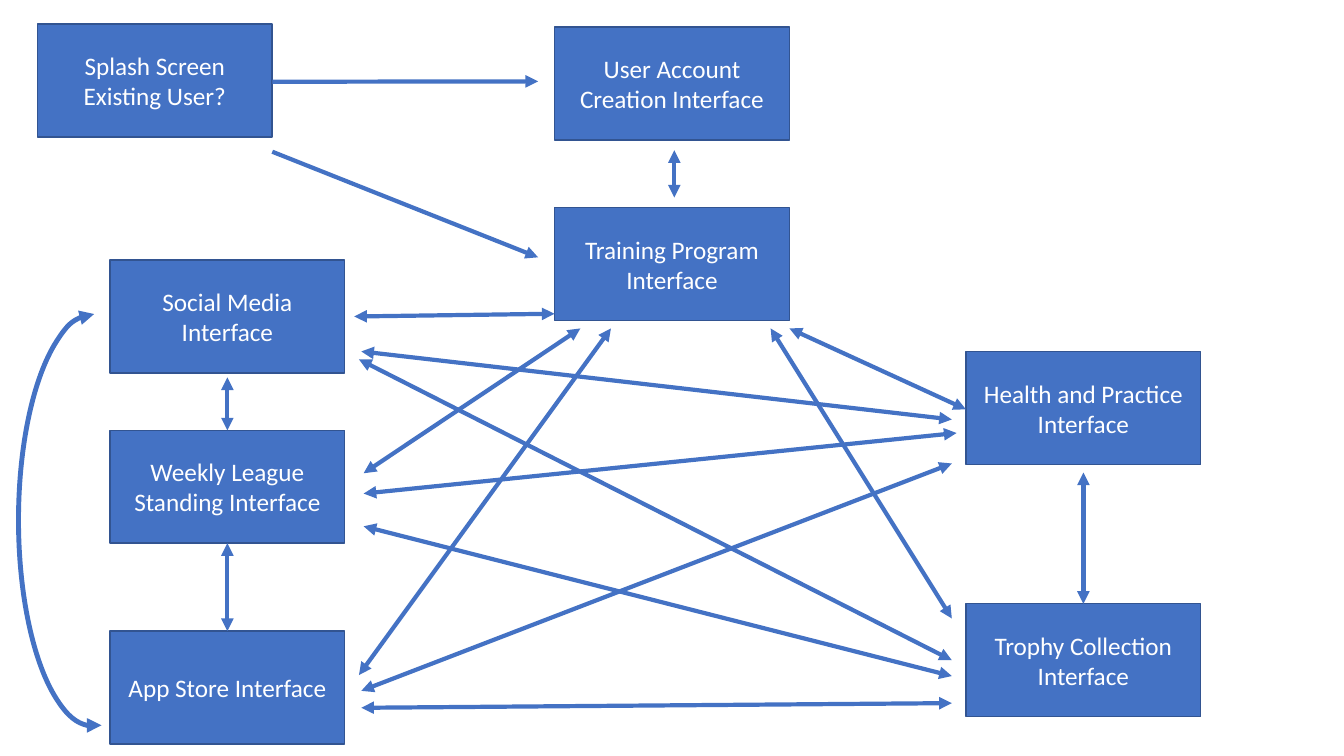
from dataclasses import dataclass

from pptx import Presentation
from pptx.dml.color import RGBColor
from pptx.enum.shapes import MSO_CONNECTOR as Link, MSO_SHAPE as Preset
from pptx.enum.text import MSO_ANCHOR as Anchor, PP_ALIGN as Align
from pptx.oxml.ns import qn
from pptx.util import Inches, Pt
from lxml.etree import SubElement

COLORS = {"fill": "4472C4", "border": "325491", "text": "FFFFFF"}
FONT = "Calibri"

# Grid of 100 columns by 100 rows
WIDTH, HEIGHT = Inches(13.33), Inches(7.5)
COLUMN, ROW = WIDTH / 100, HEIGHT / 100
BOX_COLUMNS, BOX_ROWS = 17.48, 14.93
ENTRY, LEFT, MIDDLE, RIGHT = 2.78, 8.18, 41.26, 71.87


@dataclass(frozen=True)
class Screen:
    column: float
    row: float
    text: str


@dataclass(frozen=True)
class End:
    """A point given as shares of a screen's width and height."""
    screen: Screen
    across: float
    down: float

    def point(self) -> tuple[int, int]:
        return (round((self.screen.column + self.across * BOX_COLUMNS) * COLUMN),
                round((self.screen.row + self.down * BOX_ROWS) * ROW))


@dataclass(frozen=True)
class Flow:
    start: End
    finish: End
    two_way: bool = True


# Screens of the app
splash = Screen(ENTRY, 3.2, "Splash Screen\nExisting User?")
account = Screen(MIDDLE, 3.6, "User Account Creation Interface")
training = Screen(MIDDLE, 27.47, "Training Program Interface")
social = Screen(LEFT, 34.4, "Social Media Interface")
league = Screen(LEFT, 56.93, "Weekly League Standing Interface")
store = Screen(LEFT, 83.47, "App Store Interface")
health = Screen(RIGHT, 46.53, "Health and Practice Interface")
trophy = Screen(RIGHT, 79.87, "Trophy Collection Interface")
SCREENS = [splash, training, health, social, league, store, account, trophy]

# Navigation between screens
FLOWS = [
    Flow(End(splash, 1, 0.51), End(account, -0.07, 0.48), two_way=False),
    Flow(End(splash, 1, 1.13), End(training, -0.07, 0.44), two_way=False),
    Flow(End(training, 0, 0.94), End(social, 1.04, 0.5)),
    Flow(End(training, 0.11, 1.07), End(league, 1.08, 0.38)),
    Flow(End(training, 0.24, 1.07), End(store, 1.06, 0.39)),
    Flow(End(health, 0, 0.51), End(training, 1, 1.07)),
    Flow(End(trophy, -0.06, 0.13), End(training, 0.92, 1.07)),
    Flow(End(trophy, -0.06, 0.5), End(social, 1.06, 0.88)),
    Flow(End(trophy, 0.5, 0), End(health, 0.5, 1.07)),
    Flow(End(store, 0.5, 0), End(league, 0.5, 1)),
    Flow(End(league, 0.5, 0), End(social, 0.5, 1.04)),
    Flow(End(trophy, -0.06, 0.88), End(store, 1.07, 0.68)),
    Flow(End(health, -0.04, 0.72), End(league, 1.08, 0.56)),
    Flow(End(trophy, -0.06, 0.64), End(league, 1.08, 0.85)),
    Flow(End(health, -0.06, 0.99), End(store, 1.07, 0.53)),
    Flow(End(health, -0.06, 0.6), End(social, 1.07, 0.81)),
    Flow(End(training, 0.51, -0.09), End(account, 0.51, 1.09)),
]


def color(name: str) -> RGBColor:
    return RGBColor.from_string(COLORS[name])


def add_preset(slide, preset, column: float, row: float, columns: float, rows: float):
    shape = slide.shapes.add_shape(preset, round(column * COLUMN), round(row * ROW),
                                   round(columns * COLUMN), round(rows * ROW))
    shape.shadow.inherit = False
    return shape


def style_arrow(line, points: float, two_way: bool = True) -> None:
    line.color.rgb = color("fill")
    line.width = Pt(points)
    for end in ("a:headEnd", "a:tailEnd") if two_way else ("a:tailEnd",):
        SubElement(line._get_or_add_ln(), qn(end), type="triangle")


def draw_screen(slide, screen: Screen) -> None:
    box = add_preset(slide, Preset.RECTANGLE, screen.column, screen.row,
                     BOX_COLUMNS, BOX_ROWS)
    box.fill.solid()
    box.fill.fore_color.rgb = color("fill")
    box.line.color.rgb = color("border")
    box.line.width = Pt(1)
    label = box.text_frame
    label.word_wrap = True
    label.vertical_anchor = Anchor.MIDDLE
    label.text = screen.text
    for paragraph in label.paragraphs:
        paragraph.alignment = Align.CENTER
        paragraph.font.name = FONT
        paragraph.font.size = Pt(18)
        paragraph.font.color.rgb = color("text")


def draw_flow(slide, flow: Flow) -> None:
    arrow = slide.shapes.add_connector(Link.STRAIGHT, *flow.start.point(),
                                       *flow.finish.point())
    style_arrow(arrow.line, 3, flow.two_way)
    SubElement(arrow._element.spPr, qn("a:effectLst"))


def draw_social_store_arc(slide) -> None:
    arc = add_preset(slide, Preset.ARC, -8.33, 58.8, 30.68, 20)
    arc.rotation = 270
    arc.adjustments[0], arc.adjustments[1] = 106.76, 0
    arc.fill.background()
    # The arrowheads must stay inside the line, ahead of the effects
    style_arrow(arc.line, 3.5)


deck = Presentation()
deck.slide_width, deck.slide_height = WIDTH, HEIGHT
app_map = deck.slides.add_slide(deck.slide_layouts[6])
for screen in SCREENS:
    draw_screen(app_map, screen)
for flow in FLOWS:
    draw_flow(app_map, flow)
draw_social_store_arc(app_map)
deck.save("out.pptx")
